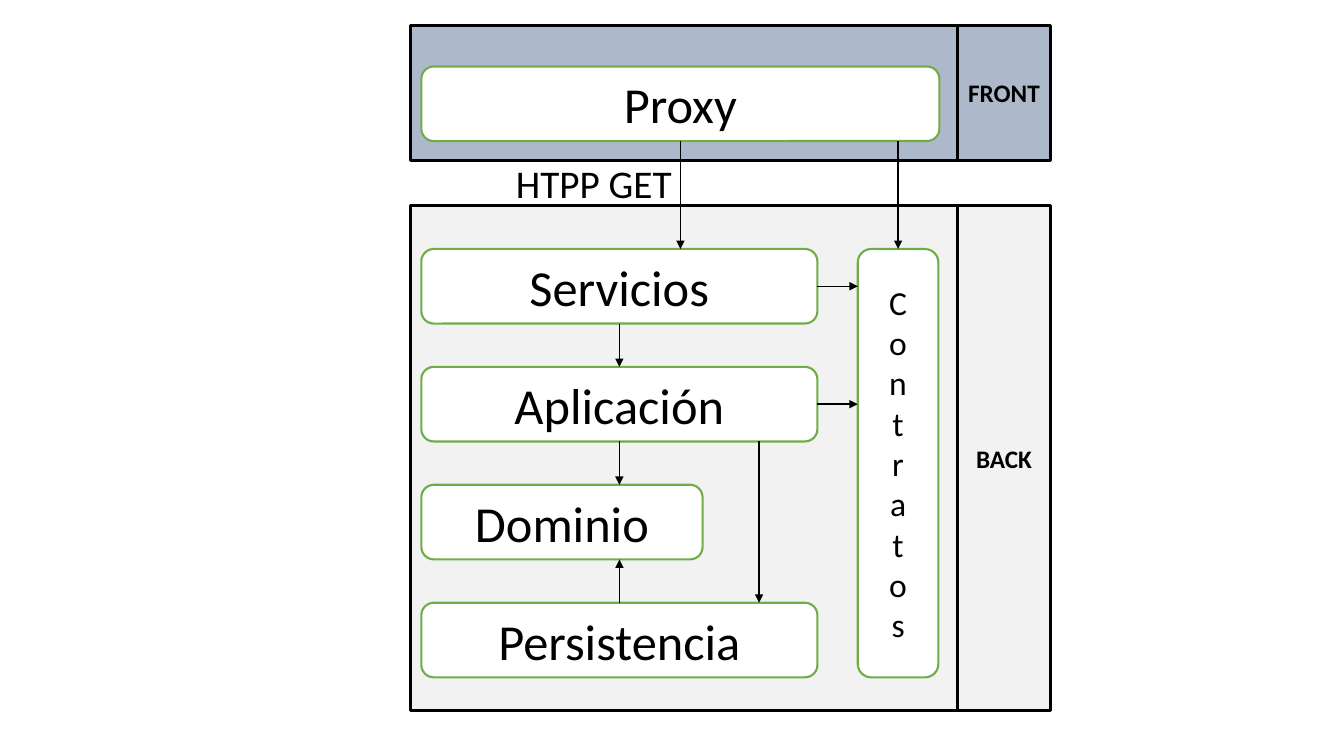
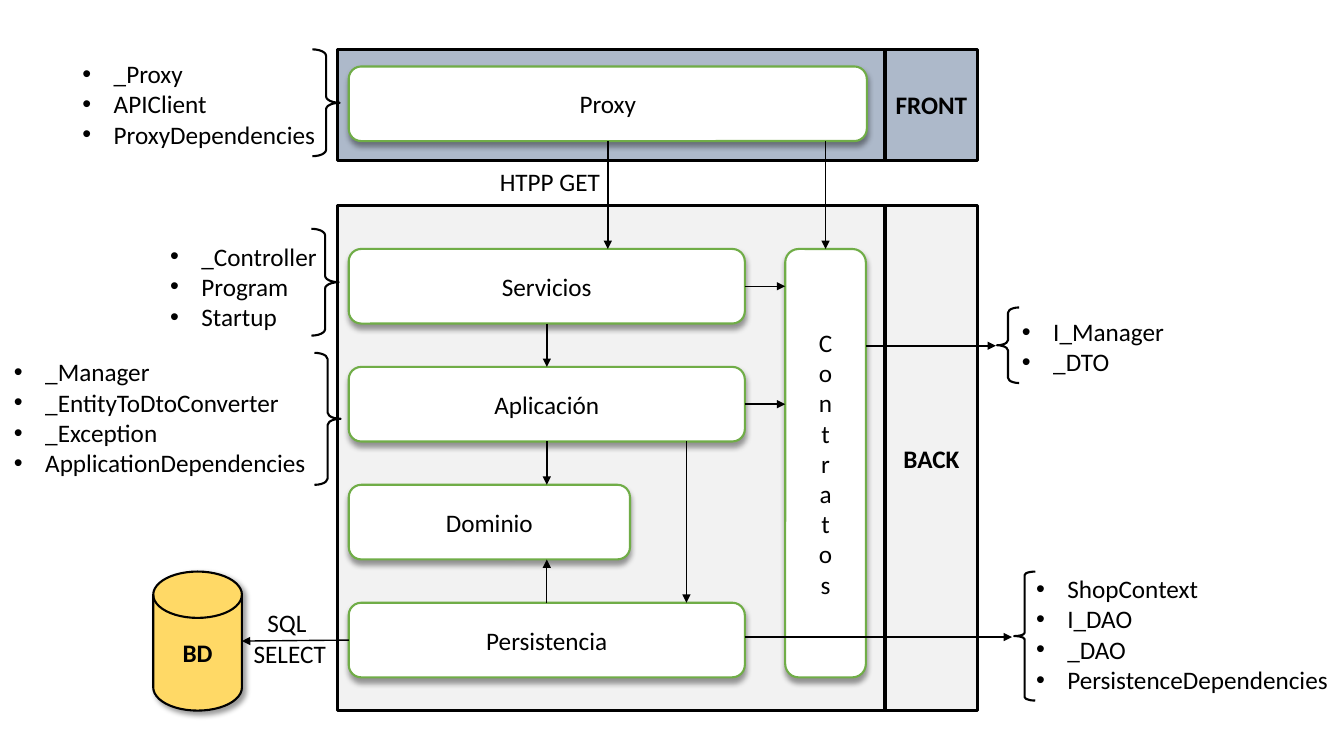
from dataclasses import dataclass
from typing import Optional, Union

import pptx
import pptx.dml.color
import pptx.enum.shapes
import pptx.enum.text
import pptx.oxml
import pptx.oxml.ns
import pptx.util

# Shared look; lengths are cells of a square grid, ten cells to the inch
CELL = 0.1
SLIDE_COLUMNS, SLIDE_ROWS = 133.33, 75
FONT = "Calibri"
BLACK, WHITE = "000000", "FFFFFF"
FRONT_FILL, BACK_FILL = "ADB9CA", "F2F2F2"
LAYER_LINE, DATABASE_FILL = "70AD47", "FFD966"
LABEL_SIZE = 18

# Diagram grid: columns count from the diagram's left edge
MAIN_WIDTH, SIDE_WIDTH = 54.3, 9.2
FRONT_BOTTOM = 15.9
BACK_TOP, BACK_HEIGHT = 20.4, 50.1
LAYER_LEFT, LAYER_WIDTH, LAYER_HEIGHT = 1.1, 39.3, 7.4
LAYER_TOP, LAYER_PITCH = 24.7, 11.7
CONTRACT_LEFT, CONTRACT_WIDTH = 44.4, 8

SHAPES = pptx.enum.shapes.MSO_SHAPE
ALIGN = pptx.enum.text.PP_ALIGN
TOP, LEFT, BOTTOM, RIGHT = range(4)


@dataclass(frozen=True)
class Area:
    column: float
    row: float
    columns: float
    rows: float


@dataclass(frozen=True)
class Point:
    column: float
    row: float


@dataclass(frozen=True)
class Port:
    box: str
    side: int


@dataclass(frozen=True)
class Arrow:
    start: Union[Point, Port]
    end: Union[Point, Port]
    width: float = 1


@dataclass(frozen=True)
class Diagram:
    left: float
    front_top: float
    layer_size: int
    contract_size: int
    request: Point
    request_area: Area
    shadow_angle: Optional[int] = None


@dataclass(frozen=True)
class Note:
    lines: tuple
    area: Area
    brace: Area
    opens_right: bool = False
    wraps: bool = False
    curl: float = 0.236


def layer_row(index: int) -> float:
    return LAYER_TOP + index * LAYER_PITCH


LAYERS = {
    "Servicios": Area(LAYER_LEFT, layer_row(0), LAYER_WIDTH, LAYER_HEIGHT),
    "Aplicación": Area(LAYER_LEFT, layer_row(1), LAYER_WIDTH, LAYER_HEIGHT),
    "Dominio": Area(LAYER_LEFT, layer_row(2), 27.9, LAYER_HEIGHT),
    "Persistencia": Area(LAYER_LEFT, layer_row(3), LAYER_WIDTH, LAYER_HEIGHT),
    "Proxy": Area(LAYER_LEFT, 6.6, 51.4, LAYER_HEIGHT),
    "Contratos": Area(CONTRACT_LEFT, LAYER_TOP, CONTRACT_WIDTH, 3 * LAYER_PITCH + LAYER_HEIGHT),
}
LAYER_MIDDLE = LAYER_LEFT + LAYER_WIDTH / 2
HALF_LAYER = LAYER_HEIGHT / 2

ARROWS = (
    Arrow(Port("Persistencia", TOP), Point(LAYER_MIDDLE, layer_row(2) + LAYER_HEIGHT), 0.5),
    Arrow(Port("Servicios", RIGHT), Point(CONTRACT_LEFT, layer_row(0) + HALF_LAYER)),
    Arrow(Port("Aplicación", RIGHT), Point(CONTRACT_LEFT, layer_row(1) + HALF_LAYER)),
    Arrow(Port("Aplicación", BOTTOM), Point(LAYER_MIDDLE, layer_row(2))),
    Arrow(Point(34.6, layer_row(1) + LAYER_HEIGHT), Point(34.6, layer_row(3))),
    Arrow(Port("Servicios", BOTTOM), Port("Aplicación", TOP)),
    Arrow(Port("Proxy", BOTTOM), Point(26.8, LAYER_TOP)),
    Arrow(Point(48.4, 14), Port("Contratos", TOP)),
)

OVERVIEW = Diagram(40.7, 2.5, 36, 24, Point(9.5, 15.3), Area(50.2, 15.3, 17.6, 5.7))
DETAIL = Diagram(33.5, 4.9, 18, 18, Point(15.1, 16), Area(48.6, 16, 12, 4), 90)

DETAIL_ARROWS = (
    Arrow(Port("Persistencia", LEFT), Point(-9.5, 63.6)),
    Arrow(Point(CONTRACT_LEFT + CONTRACT_WIDTH, 34.3), Point(65.3, 34.3), 1.5),
    Arrow(Point(LAYER_LEFT + LAYER_WIDTH, 63.2), Point(66.9, 63.2), 1.5),
)

NOTES = (
    Note(("_Controller", "Program", "Startup"),
         Area(15.9, 23.4, 16.7, 10.1), Area(30.9, 22.7, 2.7, 10.6)),
    Note(("_Proxy", "APIClient", "ProxyDependencies"),
         Area(7.2, 5.3, 25.4, 10.1), Area(31, 4.9, 2.7, 10.6)),
    Note(("_Manager", "_EntityToDtoConverter", "_Exception", "ApplicationDependencies"),
         Area(0.4, 34.9, 33.5, 13.1), Area(31.2, 35, 2.6, 13.1), wraps=True),
    Note(("I_Manager", "_DTO"),
         Area(100.4, 30.9, 28.5, 7.1), Area(98.9, 30.5, 2.2, 7.5), True, True),
    Note(("ShopContext", "I_DAO", "_DAO", "PersistenceDependencies"),
         Area(101.8, 56.4, 31.3, 13.1), Area(100.6, 56.7, 2.1, 12.8), True, curl=0.156),
)


# Helpers
def cells(count: float) -> int:
    return pptx.util.Inches(count * CELL)


def color(value: str):
    return pptx.dml.color.RGBColor.from_string(value)


def place(area: Area) -> tuple:
    return tuple(cells(n) for n in (area.column, area.row, area.columns, area.rows))


def shifted(area: Area, columns: float) -> Area:
    return Area(area.column + columns, area.row, area.columns, area.rows)


def add_element(parent, tag: str, **attributes):
    element = pptx.oxml.ns.qn(tag)
    child = parent.makeelement(element, attributes)
    parent.append(child)
    return child


def set_text(text_frame, text: str, size: float, bold: bool = False, align=ALIGN.CENTER) -> None:
    text_frame.text = text
    for paragraph in text_frame.paragraphs:
        paragraph.alignment = align
        for run in paragraph.runs:
            run.font.name, run.font.size, run.font.bold = FONT, pptx.util.Pt(size), bold
            run.font.color.rgb = color(BLACK)


def add_shadow(shape, angle: int) -> None:
    effects = shape._element.spPr.find(pptx.oxml.ns.qn("a:effectLst"))
    shadow = add_element(effects, "a:outerShdw", blurRad=str(pptx.util.Pt(4)),
                         dist=str(pptx.util.Pt(3)), dir=str(angle * 60000),
                         algn="t", rotWithShape="0")
    shade = add_element(shadow, "a:srgbClr", val=BLACK)
    add_element(shade, "a:alpha", val="40000")


def add_box(slide, kind, area: Area, fill: Optional[str], line: str, width: float,
            text: str = "", size: float = LABEL_SIZE, bold: bool = False,
            shadow_angle: Optional[int] = None):
    shape = slide.shapes.add_shape(kind, *place(area))
    shape.shadow.inherit = False
    if fill:
        shape.fill.solid()
        shape.fill.fore_color.rgb = color(fill)
    else:
        shape.fill.background()
    shape.line.color.rgb = color(line)
    shape.line.width = pptx.util.Pt(width)
    if shadow_angle is not None:
        add_shadow(shape, shadow_angle)
    if text:
        shape.text_frame.vertical_anchor = pptx.enum.text.MSO_ANCHOR.MIDDLE
        set_text(shape.text_frame, text, size, bold)
    return shape


def add_label(slide, area: Area, text: str, size: float, align=ALIGN.LEFT, wraps: bool = False):
    label = slide.shapes.add_textbox(*place(area))
    label.text_frame.word_wrap = wraps
    label.text_frame.auto_size = pptx.enum.text.MSO_AUTO_SIZE.SHAPE_TO_FIT_TEXT
    set_text(label.text_frame, text, size, align=align)
    return label


def add_arrow(slide, arrow: Arrow, boxes: dict, left: float) -> None:
    points = [end if isinstance(end, Point) else Point(0, 0) for end in (arrow.start, arrow.end)]
    ends = [cells(n) for point in points for n in (left + point.column, point.row)]
    connector = slide.shapes.add_connector(pptx.enum.shapes.MSO_CONNECTOR.STRAIGHT, *ends)
    for end, connect in ((arrow.start, connector.begin_connect), (arrow.end, connector.end_connect)):
        if isinstance(end, Port):
            connect(boxes[end.box], end.side)
    connector.line.color.rgb = color(BLACK)
    connector.line.width = pptx.util.Pt(arrow.width)
    add_element(connector.line._get_or_add_ln(), "a:tailEnd", type="triangle")
    add_element(connector._element.spPr, "a:effectLst")


def add_note(slide, note: Note) -> None:
    brace = add_box(slide, SHAPES.RIGHT_BRACE, note.brace, None, BLACK, 1.5)
    brace.adjustments[0] = note.curl
    brace.rotation = 180 if note.opens_right else 0
    label = add_label(slide, note.area, "\n".join(note.lines), LABEL_SIZE, wraps=note.wraps)
    indent = cells(3.1)
    for paragraph in label.text_frame.paragraphs:
        properties = paragraph._p.get_or_add_pPr()
        properties.set("marL", str(indent))
        properties.set("indent", str(-indent))
        add_element(properties, "a:buFont", typeface="Arial")
        add_element(properties, "a:buChar", char="•")


def add_diagram(slide, diagram: Diagram) -> dict:
    # Front and back bands, each with a named side cell
    front_height = FRONT_BOTTOM - diagram.front_top
    for name, fill, top, height in (("FRONT", FRONT_FILL, diagram.front_top, front_height),
                                    ("BACK", BACK_FILL, BACK_TOP, BACK_HEIGHT)):
        main = Area(diagram.left, top, MAIN_WIDTH, height)
        side = Area(diagram.left + MAIN_WIDTH, top, SIDE_WIDTH, height)
        add_box(slide, SHAPES.RECTANGLE, main, fill, BLACK, 2.25)
        add_box(slide, SHAPES.RECTANGLE, side, fill, BLACK, 2.25, name, bold=True)

    # Layers, with the contracts written downwards
    boxes = {}
    for name, area in LAYERS.items():
        upright = name == "Contratos"
        boxes[name] = add_box(
            slide, SHAPES.ROUNDED_RECTANGLE, shifted(area, diagram.left), WHITE, LAYER_LINE, 1.5,
            "\n".join(name) if upright else name,
            diagram.contract_size if upright else diagram.layer_size,
            shadow_angle=diagram.shadow_angle)

    # Dependencies and the request between the bands
    for arrow in ARROWS:
        add_arrow(slide, arrow, boxes, diagram.left)
    request_size = 28 if diagram.layer_size > LABEL_SIZE else LABEL_SIZE
    add_label(slide, diagram.request_area, "HTPP GET", request_size)
    return boxes


def build_overview(slide) -> None:
    add_diagram(slide, OVERVIEW)


def build_detail(slide) -> None:
    boxes = add_diagram(slide, DETAIL)
    add_box(slide, SHAPES.FLOWCHART_MAGNETIC_DISK, Area(15.2, 56.7, 8.8, 13.8),
            DATABASE_FILL, BLACK, 1.5, "BD", bold=True, shadow_angle=45)
    for arrow in DETAIL_ARROWS:
        add_arrow(slide, arrow, boxes, DETAIL.left)
    add_label(slide, Area(24.1, 59.8, 9.3, 7.1), "SQL \nSELECT", LABEL_SIZE, ALIGN.CENTER)
    for note in NOTES:
        add_note(slide, note)


def main() -> None:
    presentation = pptx.Presentation()
    presentation.slide_width = cells(SLIDE_COLUMNS)
    presentation.slide_height = cells(SLIDE_ROWS)
    blank_layout = presentation.slide_layouts[6]
    for build in (build_overview, build_detail):
        build(presentation.slides.add_slide(blank_layout))
    presentation.save("out.pptx")


if __name__ == "__main__":
    main()
